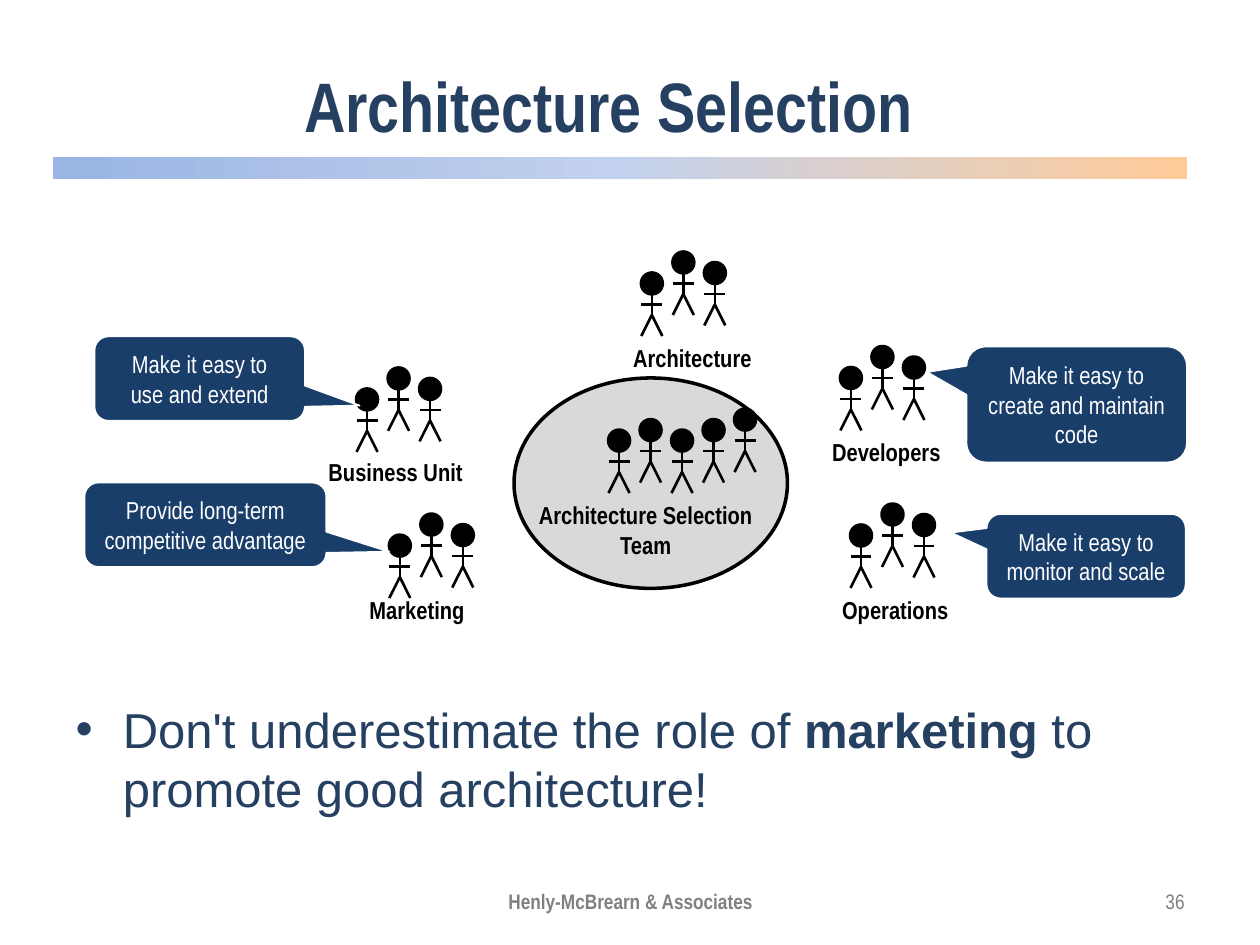
from copy import deepcopy
from pptx import Presentation
from pptx.dml.color import RGBColor
from pptx.enum.shapes import MSO_CONNECTOR as Link, MSO_SHAPE as Kind
from pptx.enum.text import MSO_ANCHOR as Anchor, PP_ALIGN as Align
from pptx.oxml.ns import qn
from pptx.util import Inches, Pt

NAVY, BLACK, WHITE, GRAY = "254061", "000000", "FFFFFF", "808080"
UNIT = 1 / 12  # half a head, the step of every stick figure
CROWD = [(0, 0), (3, 1), (-3, 2)]
TEAM = [(-3, 1), (0, 0), (3, 1), (6, 0), (9, -1)]


def rgb(code):
    return RGBColor.from_string(code)


def write(shape, text, size=14, font="Arial Narrow", color=BLACK, bold=False,
          align=Align.CENTER, anchor=None, wrap=True):
    """Fill a shape with text; newlines part paragraphs, asterisks enclose bold."""
    frame = shape.text_frame
    frame.word_wrap = wrap
    if anchor is not None:
        frame.vertical_anchor = anchor
    for i, line in enumerate(text.split("\n")):
        para = frame.add_paragraph() if i else frame.paragraphs[0]
        para.alignment = align
        for j, part in enumerate(line.split("*")):
            run = para.add_run()
            run.text = part
            run.font.size = Pt(size)
            run.font.name = font
            run.font.bold = bold or j % 2 == 1
            run.font.color.rgb = rgb(color)


def place(shape, *box):
    shape.left, shape.top, shape.width, shape.height = map(Inches, box)


def label(shapes, text, box, **form):
    write(shapes.add_textbox(*map(Inches, box)), text, **form)


def shape(shapes, kind, box, fill, line, width):
    item = shapes.add_shape(kind, *map(Inches, box))
    item.shadow.inherit = False
    item.fill.solid()
    item.fill.fore_color.rgb = rgb(fill)
    item.line.color.rgb = rgb(line)
    item.line.width = Pt(width)
    return item


def stroke(shapes, *ends):
    line = shapes.add_connector(Link.STRAIGHT, *map(Inches, ends))
    line.line.color.rgb = rgb(BLACK)
    line.line.width = Pt(1.5)
    props = line._element.spPr
    props.append(props.makeelement(qn("a:effectLst"), {}))


def person(shapes, x, y):
    """Draw a stick figure with the top left of its head at x, y."""
    shape(shapes, Kind.OVAL, (x, y, 2 * UNIT, 2 * UNIT), BLACK, BLACK, 2)
    limbs = [(1, 2, 1, 4), (0, 3, 2, 3), (1, 4, 0, 6), (1, 4, 2, 6)]
    for a, b, c, d in limbs:
        stroke(shapes, x + a * UNIT, y + b * UNIT, x + c * UNIT, y + d * UNIT)


def crowd(slide, x, y, spots=CROWD):
    group = slide.shapes.add_group_shape()
    for dx, dy in spots:
        person(group.shapes, x + dx * UNIT, y + dy * UNIT)
    return group


def callout(slide, text, box, tip):
    item = shape(slide.shapes, Kind.ROUNDED_RECTANGULAR_CALLOUT, box,
                 "1A3E6A", WHITE, 1)
    item.adjustments[0], item.adjustments[1] = tip
    write(item, text, color=WHITE, anchor=Anchor.MIDDLE)


def band(slide):
    bar = shape(slide.shapes, Kind.RECTANGLE, (0.42, 1.25, 9, 0.17),
                WHITE, WHITE, 1)
    bar.line.fill.background()
    bar.fill.gradient()
    bar.fill.gradient_angle = 0
    stops = bar._element.spPr.find(".//" + qn("a:gsLst"))
    stops.insert(1, deepcopy(stops[0]))
    shades = [(0, "9AB5E4"), (0.5, "C2D1ED"), (1, "FFCC99")]
    for stop, (spot, color) in zip(bar.fill.gradient_stops, shades):
        stop.position = spot
        stop.color.rgb = rgb(color)


def main():
    deck = Presentation()
    deck.slide_width, deck.slide_height = Inches(10), Inches(7.5)
    slide = deck.slides.add_slide(deck.slide_layouts[1])

    band(slide)
    title, body = slide.placeholders
    place(title, 0.33, 0.33, 9, 1)
    write(title, "Architecture Selection", size=40, color=NAVY, bold=True,
          anchor=Anchor.MIDDLE)
    place(body, 0.5, 5.5, 9, 1.2)
    write(body, "Don't underestimate the role of *marketing* to promote "
          "good architecture!", size=28, font="Arial", color=NAVY,
          align=Align.LEFT)

    shape(slide.shapes, Kind.OVAL, (4.08, 3, 2.17, 1.67), "D9D9D9", BLACK, 2)
    crowd(slide, 5.08, 3.33, TEAM)
    label(slide.shapes, "Architecture Selection\nTeam",
          (4.17, 3.92, 1.91, 0.57), bold=True, wrap=False)

    groups = [
        ("Business Unit", 3.08, 2.92, (2.5, 3.58, 1.28, 0.34)),
        ("Operations", 7, 4, (6.58, 4.67, 1.05, 0.34)),
        ("Developers", 6.92, 2.75, (6.5, 3.42, 1.07, 0.34)),
        ("Marketing", 3.34, 4.08, (2.83, 4.67, 0.96, 0.34)),
        ("Architecture", 5.34, 2, (4.92, 2.67, 1.15, 0.34)),
    ]
    for name, x, y, box in groups:
        group = crowd(slide, x, y)
        label(group.shapes, name, box, bold=True, wrap=False)

    left, right = (0.76, 0.32), (-0.68, -0.28)
    callout(slide, "Make it easy to\ncreate and maintain code",
            (7.67, 2.75, 1.75, 0.92), right)
    callout(slide, "Make it easy to\nmonitor and scale",
            (7.83, 4.08, 1.58, 0.67), right)
    callout(slide, "Make it easy to\nuse and extend",
            (0.75, 2.67, 1.67, 0.67), left)
    callout(slide, "Provide long-term competitive advantage",
            (0.67, 3.83, 1.92, 0.67), left)

    foot = dict(size=12, color=GRAY, anchor=Anchor.MIDDLE)
    label(slide.shapes, "Henly-McBrearn & Associates",
          (3.42, 6.95, 3.17, 0.4), bold=True, **foot)
    label(slide.shapes, "36", (7.17, 6.95, 2.33, 0.4),
          align=Align.RIGHT, **foot)
    deck.save("out.pptx")


if __name__ == "__main__":
    main()
